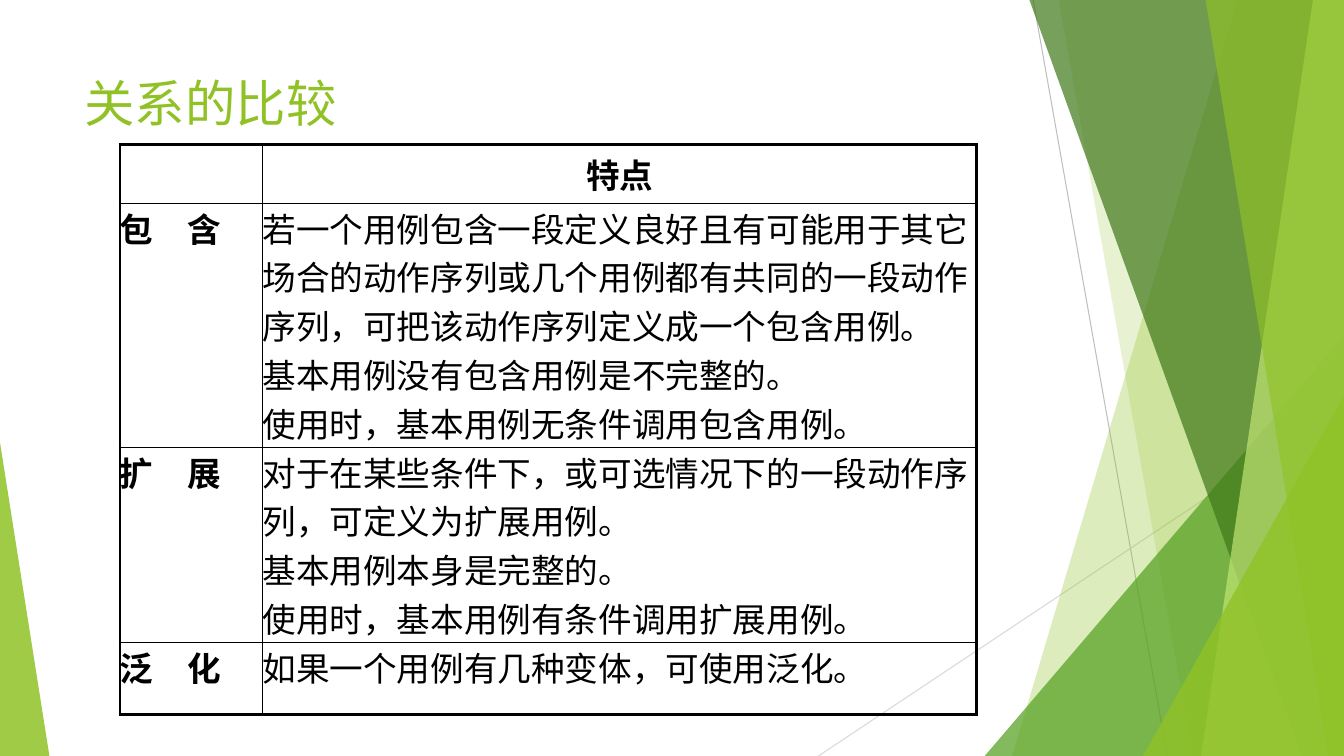
from lxml import etree
from pptx import Presentation
from pptx import util as u
from pptx.dml.color import RGBColor
from pptx.enum import shapes, text
from pptx.oxml import ns

THEME = {
    "lime": "90C226", "green": "54A021", "forest": "3F7819", "pale": "C0E474",
    "ink": "000000", "grey": "BFBFBF", "light_grey": "D9D9D9",
    "title_size": 36, "table_size": 24,
    "title_font": "Karla", "body_font": "Arial", "label_font": "Times New Roman",
    "thin": 1, "thick": 2.25, "hairline": 0.75,
}


def paint(shape, color, opacity):
    shape.shadow.inherit = False
    shape.line.fill.background()
    shape.fill.solid()
    shape.fill.fore_color.rgb = RGBColor.from_string(THEME[color])
    srgb = shape.fill._xPr.find(".//" + ns.qn("a:srgbClr"))
    etree.SubElement(srgb, ns.qn("a:alpha"), val=str(opacity * 1000))


def style(paragraph, font_name, size, color, bold=False):
    for run in paragraph.runs:
        run.font.name = THEME[font_name]
        run.font.size = u.Pt(THEME[size])
        run.font.bold = bold
        run.font.color.rgb = RGBColor.from_string(THEME[color])


presentation = Presentation()
presentation.slide_width = u.Pt(960)
presentation.slide_height = u.Pt(540)
slide = presentation.slides.add_slide(presentation.slide_layouts[6])

for x1, y1, x2, y2, color in [
    (738, 0, 833.8, 540, "grey"),
    (960, 290.2, 584.6, 540, "light_grey"),
]:
    line = slide.shapes.add_connector(
        shapes.MSO_CONNECTOR.STRAIGHT, u.Pt(x1), u.Pt(y1), u.Pt(x2), u.Pt(y2))
    line.line.color.rgb = RGBColor.from_string(THEME[color])
    line.line.width = u.Pt(THEME["hairline"])
    etree.SubElement(line._element.spPr, ns.qn("a:effectLst"))

FACETS = [
    ("band", 884.2, 722.9, "lime", 30),
    ("band", 756, 851.8, "lime", 20),
    ("triangle", (703.4, 239.8, 256.6, 300.2), 1, "green", 72),
    ("band", 735.1, 929.5, "forest", 70),
    ("band", 938.2, 858.2, "pale", 70),
    ("band", 861.1, 949, "lime", 65),
    ("triangle", (816.5, 283, 143.5, 257), 1, "lime", 80),
    ("triangle", (0, 316.1, 35.3, 223.9), 0, "lime", 85),
]
for kind, first, second, color, opacity in FACETS:
    if kind == "band":
        builder = slide.shapes.build_freeform(first, -0.6, scale=u.Pt(1))
        builder.add_line_segments([(960, -0.6), (960, 540), (second, 540)], close=True)
        facet = builder.convert_to_shape()
    else:
        facet = slide.shapes.add_shape(
            shapes.MSO_SHAPE.ISOSCELES_TRIANGLE, *map(u.Pt, first))
        facet.adjustments[0] = second
    paint(facet, color, opacity)

title = slide.shapes.add_textbox(u.Pt(53.3), u.Pt(43.2), u.Pt(676.8), u.Pt(55.4))
title.text_frame.word_wrap = True
title.text_frame.vertical_anchor = text.MSO_ANCHOR.BOTTOM
title.text_frame.text = "关系的比较"
style(title.text_frame.paragraphs[0], "title_font", "title_size", "lime")

ROWS = [
    (42.2, "", "特点"),
    (174.2, "包　含",
     "若一个用例包含一段定义良好且有可能用于其它场合的动作序列或几个用例都有共同的一段动作序列，可把该动作序列定义成一个包含用例。\n"
     "基本用例没有包含用例是不完整的。\n"
     "使用时，基本用例无条件调用包含用例。"),
    (139.4, "扩　展",
     "对于在某些条件下，或可选情况下的一段动作序列，可定义为扩展用例。\n"
     "基本用例本身是完整的。\n"
     "使用时，基本用例有条件调用扩展用例。"),
    (51.6, "泛　化", "如果一个用例有几种变体，可使用泛化。"),
]
COLUMNS = [101.8, 510.2]
table = slide.shapes.add_table(
    len(ROWS), len(COLUMNS), u.Pt(85.7), u.Pt(103),
    u.Pt(sum(COLUMNS)), u.Pt(sum(row[0] for row in ROWS))).table
table.horz_banding = False
for column, width in zip(table.columns, COLUMNS):
    column.width = u.Pt(width)

for r, (height, *contents) in enumerate(ROWS):
    table.rows[r].height = u.Pt(height)
    for c, content in enumerate(contents):
        cell = table.cell(r, c)
        cell.fill.background()
        cell.text_frame.text = content
        if r:
            cell.margin_left = cell.margin_right = cell.margin_top = cell.margin_bottom = 0
        else:
            cell.vertical_anchor = text.MSO_ANCHOR.MIDDLE
        for paragraph in cell.text_frame.paragraphs:
            if r == 0:
                paragraph.alignment = text.PP_ALIGN.CENTER
            style(paragraph, "label_font" if c == 0 else "body_font",
                  "table_size", "ink", r == 0 or c == 0)
        properties = cell._tc.get_or_add_tcPr()
        outer_edges = [
            ("a:lnL", c == 0), ("a:lnR", c == len(COLUMNS) - 1),
            ("a:lnT", r == 0), ("a:lnB", r == len(ROWS) - 1),
        ]
        for position, (tag, outer) in enumerate(outer_edges):
            width = u.Pt(THEME["thick" if outer else "thin"])
            border = etree.Element(ns.qn(tag), w=str(int(width)))
            fill = etree.SubElement(border, ns.qn("a:solidFill"))
            etree.SubElement(fill, ns.qn("a:srgbClr"), val=THEME["ink"])
            properties.insert(position, border)

presentation.save("out.pptx")
